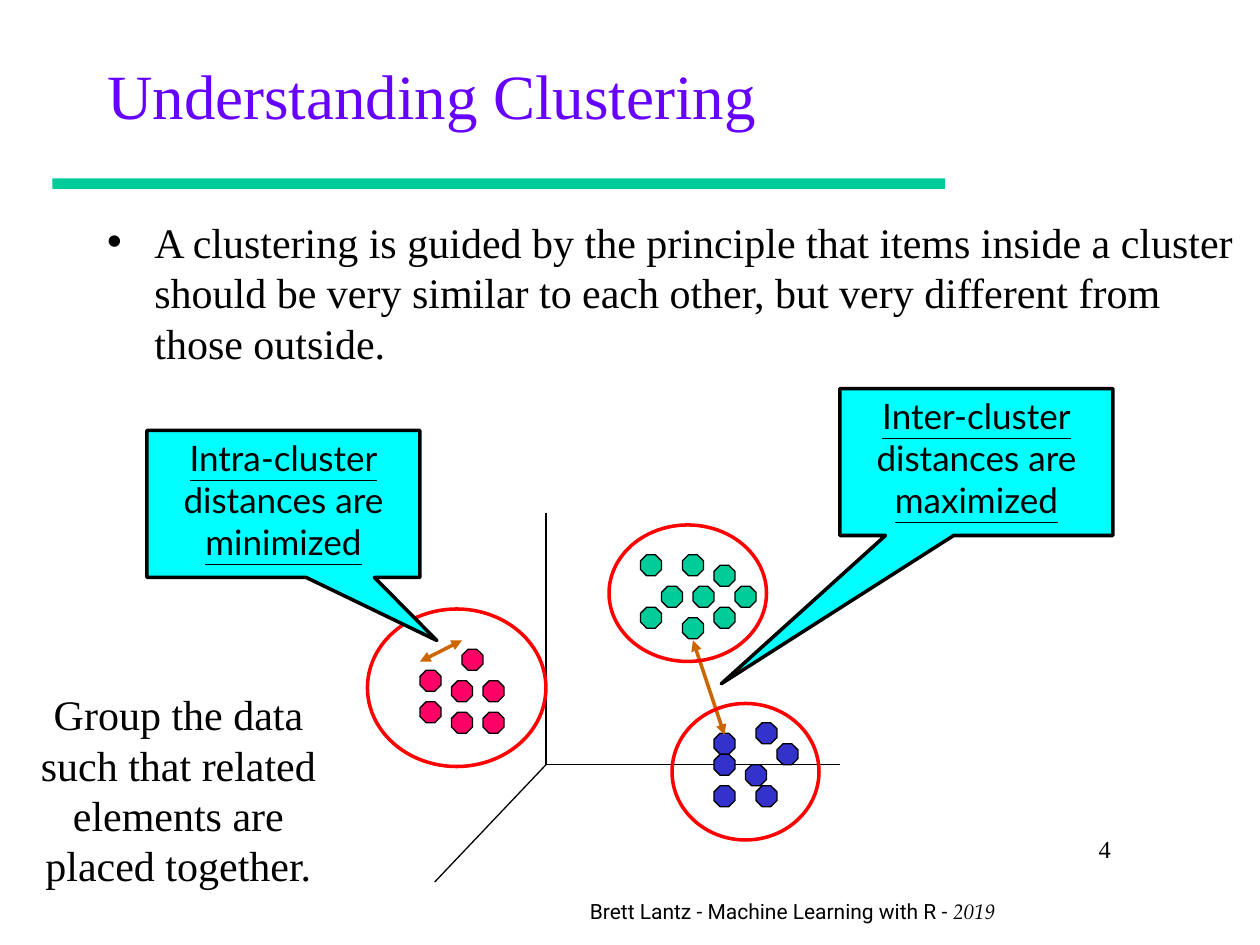
from dataclasses import dataclass

from lxml import etree
from pptx import Presentation
from pptx import util as u
from pptx.dml.color import RGBColor
from pptx.enum import shapes, text
from pptx.oxml import ns

BLACK = RGBColor(0, 0, 0)
VIOLET = RGBColor(0x66, 0x00, 0xFF)
GREEN = RGBColor(0x00, 0xCC, 0x99)
PINK = RGBColor(0xFF, 0x00, 0x66)
BLUE = RGBColor(0x33, 0x33, 0xCC)
CYAN = RGBColor(0x00, 0xFF, 0xFF)
RED = RGBColor(0xFF, 0, 0)
ORANGE = RGBColor(0xCC, 0x66, 0x00)

SERIF = {"name": "Times New Roman", "size": u.Pt(24)}
CALLOUT = {"name": "Lato", "size": u.Pt(20)}
FOOTER = {"name": "Roboto", "size": u.Pt(12)}
ALIGN = text.PP_ALIGN
STEP = 6  # grid step of the data points
DOT = 12


@dataclass
class Cluster:
    left: float
    top: float
    color: RGBColor
    cells: list[tuple[int, int]]
    ring: tuple[float, float, float, float]


@dataclass
class Callout:
    place: tuple[float, float, float, float]
    pointer: tuple[float, float]
    words: tuple[str, str, str]
    arrow: tuple[float, float, float, float]


CLUSTERS = [
    Cluster(366, 317, GREEN,
            [(2, 3), (5, 3), (4, 0), (4, 6), (9, 3), (7, 1), (0, 0), (7, 5), (0, 5)],
            (348, 300, 90, 78)),
    Cluster(240, 371, PINK,
            [(0, 2), (3, 3), (3, 6), (6, 3), (4, 0), (6, 6), (0, 5)],
            (210, 348, 102, 90)),
    Cluster(408, 413, BLUE,
            [(0, 1), (6, 2), (3, 4), (0, 6), (4, 6), (0, 3), (4, 0)],
            (384, 402, 84, 78)),
]
INTER = Callout((480, 222, 156, 84), (-0.935, 1.509),
                ("Inter-cluster", " distances are ", "maximized"), (414, 420, 396, 366))
INTRA = Callout((84, 246, 156, 84), (0.562, 0.929),
                ("Intra-cluster", " distances are ", "minimized"), (240, 378, 264, 366))
AXES = [(312, 293, 312, 437), (312, 437, 480, 437), (312, 437, 248.4, 504)]

deck = Presentation()
deck.slide_width, deck.slide_height = u.Pt(720), u.Pt(540)
page = deck.slides.add_slide(deck.slide_layouts[1])


def set_all(target, values: dict) -> None:
    for name, value in values.items():
        setattr(target, name, value)


def move(shape, place: tuple) -> None:
    names = ("left", "top", "width", "height")
    set_all(shape, {name: u.Pt(value) for name, value in zip(names, place)})


def write(para, words: str, font: dict, color: RGBColor = BLACK) -> None:
    span = para.add_run()
    span.text = words
    set_all(span.font, font)
    span.font.color.rgb = color


def set_frame(shape, anchor=text.MSO_ANCHOR.TOP, **layout):
    """Lay out the text frame and return its first paragraph."""
    set_all(shape.text_frame, {"word_wrap": True, "auto_size": text.MSO_AUTO_SIZE.NONE,
                               "vertical_anchor": anchor})
    para = shape.text_frame.paragraphs[0]
    set_all(para, layout)
    return para


def add_box(place: tuple, **layout):
    return set_frame(page.shapes.add_textbox(*map(u.Pt, place)), **layout)


def add_shape(kind, place: tuple, fill=None, line=None, width: float = 0.75):
    shape = page.shapes.add_shape(kind, *map(u.Pt, place))
    shape.shadow.inherit = False
    if fill is None:
        shape.fill.background()
    else:
        shape.fill.solid()
        shape.fill.fore_color.rgb = fill
    if line is None:
        shape.line.fill.background()
    else:
        shape.line.color.rgb = line
        shape.line.width = u.Pt(width)
    return shape


def add_line(ends: tuple, color: RGBColor, width: float, arrows: bool = False) -> None:
    line = page.shapes.add_connector(shapes.MSO_CONNECTOR.STRAIGHT, *map(u.Pt, ends))
    line.line.color.rgb = color
    line.line.width = u.Pt(width)
    if arrows:
        for end in ("a:headEnd", "a:tailEnd"):
            etree.SubElement(line.line._get_or_add_ln(), ns.qn(end), type="triangle")
    etree.SubElement(line._element.spPr, ns.qn("a:effectLst"))


def add_callout(callout: Callout) -> None:
    add_line(callout.arrow, ORANGE, 2, arrows=True)
    shape = add_shape(shapes.MSO_SHAPE.RECTANGULAR_CALLOUT, callout.place, CYAN, BLACK, 2)
    for index, value in enumerate(callout.pointer):
        shape.adjustments[index] = value
    para = set_frame(shape, alignment=ALIGN.CENTER)
    for words, underline in zip(callout.words, (True, False, True)):
        write(para, words, CALLOUT | {"underline": underline})


# Rule under the title, and page number
add_shape(shapes.MSO_SHAPE.RECTANGLE, (30, 102, 510, 6), GREEN)
write(add_box((498, 473, 144, 18), alignment=ALIGN.RIGHT), "4", SERIF | {"size": u.Pt(14)})

# Title and body
title, body = page.placeholders[0], page.placeholders[1]
move(title, (54, 30, 606, 48))
write(set_frame(title, text.MSO_ANCHOR.MIDDLE, alignment=ALIGN.LEFT),
      "Understanding Clustering", SERIF | {"size": u.Pt(36)}, VIOLET)
move(body, (54, 120, 666, 96))
principle = set_frame(body, space_before=u.Pt(5))
write(principle, "A clustering is guided by the principle that items inside a cluster "
      "should be very similar to each other, but very different from those outside.", SERIF)
bullet = principle._p.get_or_add_pPr()
bullet.set("marL", str(u.Pt(27)))
bullet.set("indent", str(u.Pt(-27)))
etree.SubElement(bullet, ns.qn("a:buChar"), char="•")

# Axes and data points
for axis in AXES:
    add_line(axis, BLACK, 0.75)
for cluster in CLUSTERS:
    for column, row in cluster.cells:
        spot = (cluster.left + column * STEP, cluster.top + row * STEP, DOT, DOT)
        add_shape(shapes.MSO_SHAPE.OCTAGON, spot, cluster.color, BLACK)

# Callouts with their distance arrows, and cluster rings
add_callout(INTER)
for cluster in CLUSTERS:
    add_shape(shapes.MSO_SHAPE.OVAL, cluster.ring, None, RED, 2)
add_callout(INTRA)

# Footer and side remark
footer = add_box((330, 510, 288, 21.6))
write(footer, "Brett Lantz - Machine Learning with R - ", FOOTER)
write(footer, "2019", FOOTER | {"name": "TeX Gyre Pagella", "italic": True})
write(add_box((12, 390, 180, 132), alignment=ALIGN.CENTER, space_before=u.Pt(5)),
      "Group the data such that related elements are placed together.", SERIF)

deck.save("out.pptx")
